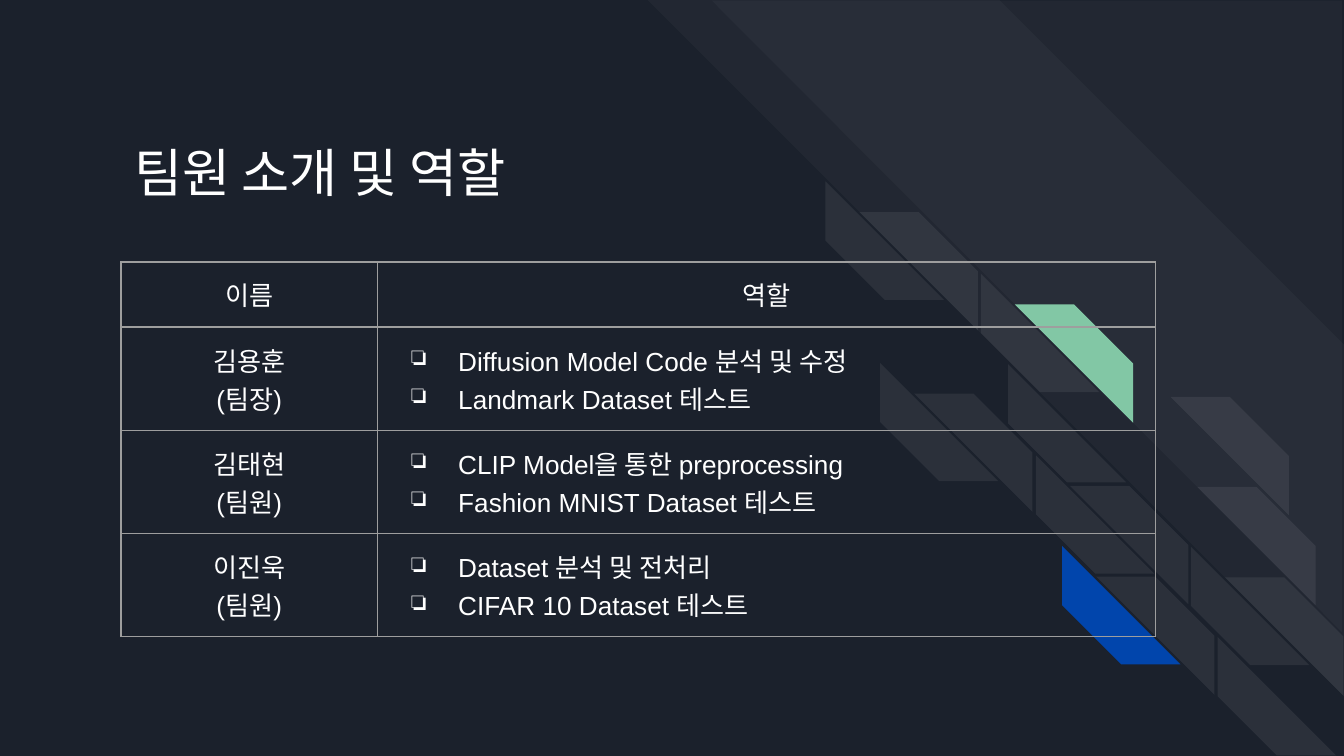
import pptx
import pptx.util
import pptx.dml.color
import pptx.enum.shapes
import pptx.enum.text
import pptx.oxml
import pptx.oxml.ns

Pt = pptx.util.Pt
ALIGN = pptx.enum.text.PP_ALIGN
MID = pptx.enum.text.MSO_ANCHOR.MIDDLE
NS = pptx.oxml.ns.nsdecls("a")

# Content
TITLE = "팀원 소개 및 역할"
HEAD = ("이름", "역할")
TEAM = [
    (["김용훈", "(팀장)"], ["Diffusion Model Code 분석 및 수정", "Landmark Dataset 테스트"]),
    (["김태현", "(팀원)"], ["CLIP Model을 통한 preprocessing", "Fashion MNIST Dataset 테스트"]),
    (["이진욱", "(팀원)"], ["Dataset 분석 및 전처리", "CIFAR 10 Dataset 테스트"]),
]
THEME = {
    "back": "1B212C", "text": "FFFFFF", "line": "9E9E9E",
    "green": "82C7A5", "blue": "0145AC",
    "head": 28, "body": 14, "title": "Montserrat", "font": "Arial",
}

# Wide bands: left, top, width, height, stripe inset
BANDS = [(347, 0, 373, 373, 0.495), (381, 0.7, 338.4, 337.7, 0)]
# Bricks: left, top, colour of the lower half, colour of the upper half
BRICKS = [
    (442.2, 97.2, "text", "text"), (471.5, 194.4, "text", "text"),
    (525.5, 146.7, "text", "green"), (540, 195.1, "text", None),
    (608.8, 196.2, None, "text"), (623.2, 244.4, None, "text"),
    (555, 243.9, "text", "text"), (569, 292.5, "blue", "text"),
    (638, 292.9, "text", "text"), (652.3, 341.3, "text", None),
]
BRICK = 63.4
SHIFT = (18.2, 16.4)  # from lower half to upper half
LEFT, TOP = 64.8, 140.4
COLS, ROWS = (137.5, 416.9), (34.5, 55.2, 55.2, 55.2)
PAD = 7.2


def color(key):
    return pptx.dml.color.RGBColor.from_string(THEME[key])


def write(frame, lines, size="body", font="font", align=ALIGN.LEFT, mark=None):
    for i, line in enumerate(lines):
        par = frame.paragraphs[0] if i == 0 else frame.add_paragraph()
        par.alignment = align
        if mark:
            props = par._p.get_or_add_pPr()
            props.set("marL", str(Pt(36)))
            props.set("indent", str(Pt(-25)))
            props.append(pptx.oxml.parse_xml(
                f'<a:buClr {NS}><a:srgbClr val="{THEME["text"]}"/></a:buClr>'))
            props.append(pptx.oxml.parse_xml(f'<a:buChar {NS} char="{mark}"/>'))
        run = par.add_run()
        run.text = line
        run.font.size = Pt(THEME[size])
        run.font.name = THEME[font]
        run.font.color.rgb = color("text")


def stripe(slide, x, y, w, h, inset, turn, key="text", alpha=None):
    shape = slide.shapes.add_shape(
        pptx.enum.shapes.MSO_SHAPE.DIAGONAL_STRIPE, Pt(x), Pt(y), Pt(w), Pt(h))
    shape.adjustments[0] = inset
    shape.rotation = turn
    shape.shadow.inherit = False
    shape.line.fill.background()
    shape.fill.solid()
    shape.fill.fore_color.rgb = color(key)
    if alpha:
        tint = shape._element.spPr.find(".//" + pptx.oxml.ns.qn("a:srgbClr"))
        tint.append(pptx.oxml.parse_xml(f'<a:alpha {NS} val="{alpha * 1000}"/>'))


def border(cell):
    props = cell._tc.get_or_add_tcPr()
    for i, side in enumerate(("lnL", "lnR", "lnT", "lnB")):
        props.insert(i, pptx.oxml.parse_xml(
            f'<a:{side} {NS} w="{Pt(0.75)}"><a:solidFill>'
            f'<a:srgbClr val="{THEME["line"]}"/></a:solidFill></a:{side}>'))


def main():
    deck = pptx.Presentation()
    deck.slide_width, deck.slide_height = Pt(720), Pt(405)
    slide = deck.slides.add_slide(deck.slide_layouts[6])
    slide.background.fill.solid()
    slide.background.fill.fore_color.rgb = color("back")

    # Backdrop
    for x, y, w, h, inset in BANDS:
        stripe(slide, x, y, w, h, inset, 90, alpha=3)
    for x, y, low, high in BRICKS:
        halves = ((low, x, y, 270), (high, x + SHIFT[0], y + SHIFT[1], 90))
        for key, left, top, turn in halves:
            if key:
                stripe(slide, left, top, BRICK, BRICK, 0.5, turn, key,
                       7 if key == "text" else None)

    # Team table
    table = slide.shapes.add_table(
        len(ROWS), len(COLS), Pt(LEFT), Pt(TOP), Pt(sum(COLS)), Pt(sum(ROWS))).table
    table.first_row = table.horz_banding = False
    for col, width in zip(table.columns, COLS):
        col.width = Pt(width)
    for row, height in zip(table.rows, ROWS):
        row.height = Pt(height)
    grid = [[[word] for word in HEAD], *TEAM]
    for r, line in enumerate(grid):
        for c, texts in enumerate(line):
            cell = table.cell(r, c)
            cell.margin_left = cell.margin_right = Pt(PAD)
            cell.margin_top = cell.margin_bottom = Pt(PAD)
            cell.fill.background()
            border(cell)
            task = r > 0 and c == 1
            write(cell.text_frame, texts, mark="❏" if task else None,
                  align=ALIGN.JUSTIFY if task else ALIGN.CENTER)

    # Title
    frame = slide.shapes.add_textbox(Pt(LEFT), Pt(56.2), Pt(sum(COLS)), Pt(72)).text_frame
    frame.word_wrap = True
    frame.vertical_anchor = MID
    frame.margin_left = frame.margin_right = Pt(PAD)
    frame.margin_top = frame.margin_bottom = Pt(PAD)
    write(frame, [TITLE], size="head", font="title")

    deck.save("out.pptx")


if __name__ == "__main__":
    main()
